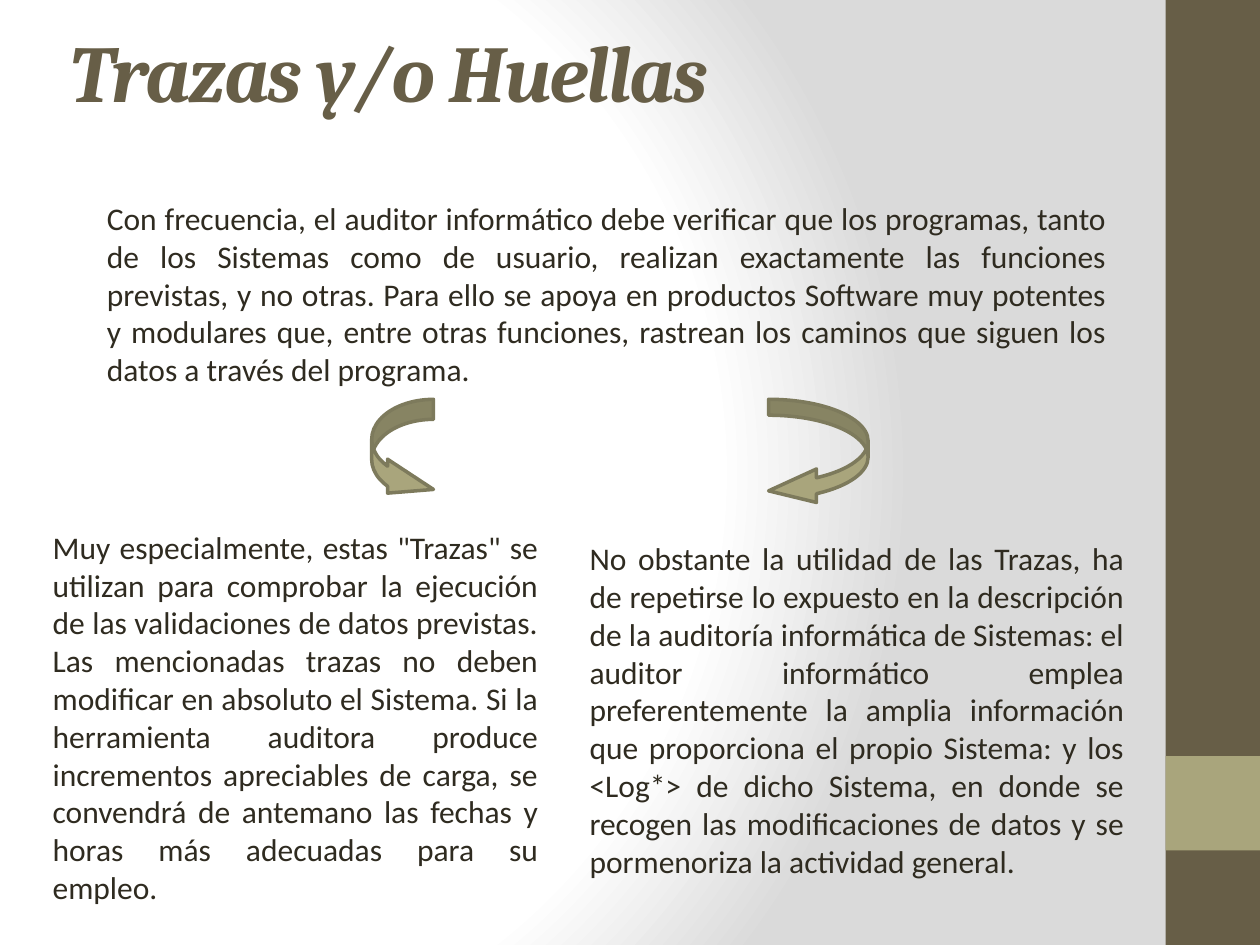
from dataclasses import dataclass

from lxml import etree
from pptx import Presentation
from pptx.dml.color import RGBColor
from pptx.enum.shapes import MSO_SHAPE
from pptx.enum.text import MSO_ANCHOR, PP_ALIGN
from pptx.oxml import parse_xml
from pptx.oxml.ns import qn
from pptx.slide import Slide
from pptx.util import Pt

RECTANGLE = MSO_SHAPE.RECTANGLE
CURVED_RIGHT = MSO_SHAPE.CURVED_RIGHT_ARROW
CURVED_LEFT = MSO_SHAPE.CURVED_LEFT_ARROW
CENTER, JUSTIFY = PP_ALIGN.CENTER, PP_ALIGN.JUSTIFY
TOP, MIDDLE = MSO_ANCHOR.TOP, MSO_ANCHOR.MIDDLE

COLORS = {
    "brown": "675E47",
    "olive": "A9A57C",
    "outline": "7D7A5C",
    "body": "2F2B20",
    "white": "FFFFFF",
    "gray": "DADADA",
}
TITLE_FONT = {"name": "Cambria", "size": Pt(46), "bold": True, "italic": True}
BODY_FONT = {"name": "Calibri", "size": Pt(18)}
BACKGROUND_STOPS = ((0, "white"), (75, "white"), (100, "gray"))


@dataclass
class Box:
    left: float
    top: float
    width: float
    height: float

    def lengths(self) -> tuple:
        return Pt(self.left), Pt(self.top), Pt(self.width), Pt(self.height)


@dataclass
class Figure:
    box: Box
    preset: int
    fill: str
    outline: str = ""
    adjustments: tuple = ()


@dataclass
class Passage:
    box: Box
    text: str
    font: dict
    color: str
    align: int = JUSTIFY
    anchor: int = TOP
    tracking: float = 0


FIGURES = [
    # Side band and its accent
    Figure(Box(666, 0, 54, 540), RECTANGLE, "brown"),
    Figure(Box(666, 432, 54, 54), RECTANGLE, "olive"),
    # Arrows from the introduction to the two columns
    Figure(Box(212.4, 228.2, 35.3, 61.2), CURVED_RIGHT, "olive", "outline",
           (0.324, 0.55, 0.743)),
    Figure(Box(439.2, 228.2, 56.9, 61.9), CURVED_LEFT, "olive", "outline",
           (0.16, 0.336, 0.481)),
]

PASSAGES = [
    # Title
    Passage(Box(25.2, 17.3, 393.8, 45.4), "Trazas y/o Huellas",
            TITLE_FONT, "brown", CENTER, MIDDLE, -1),
    # Introduction
    Passage(Box(54, 110.2, 585.4, 116.6),
            "Con frecuencia, el auditor informático debe verificar que los "
            "programas, tanto de los Sistemas como de usuario, realizan "
            "exactamente las funciones previstas, y no otras. Para ello se "
            "apoya en productos Software muy potentes y modulares que, entre "
            "otras funciones, rastrean los caminos que siguen los datos a "
            "través del programa.", BODY_FONT, "body"),
    # Left column
    Passage(Box(23, 298.1, 291.6, 225.4),
            'Muy especialmente, estas "Trazas" se utilizan para comprobar la '
            "ejecución de las validaciones de datos previstas. Las "
            "mencionadas trazas no deben modificar en absoluto el Sistema. "
            "Si la herramienta auditora produce incrementos apreciables de "
            "carga, se convendrá de antemano las fechas y horas más "
            "adecuadas para su empleo.", BODY_FONT, "body"),
    # Right column
    Passage(Box(329.8, 304.6, 319.7, 203.8),
            "No obstante la utilidad de las Trazas, ha de repetirse lo "
            "expuesto en la descripción de la auditoría informática de "
            "Sistemas: el auditor informático emplea preferentemente la "
            "amplia información que proporciona el propio Sistema: y los "
            "<Log*> de dicho Sistema, en donde se recogen las modificaciones "
            "de datos y se pormenoriza la actividad general.",
            BODY_FONT, "body"),
]


def rgb(name: str) -> RGBColor:
    return RGBColor.from_string(COLORS[name])


def paint_background(slide: Slide) -> None:
    """Radial gradient, white in the centre and gray towards the right."""
    slide.background.fill.gradient()
    gradient = slide.element.find(".//" + qn("a:gradFill"))
    for child in list(gradient):
        gradient.remove(child)
    stops = etree.SubElement(gradient, qn("a:gsLst"))
    for percent, color in BACKGROUND_STOPS:
        stop = etree.SubElement(stops, qn("a:gs"), pos=str(percent * 1000))
        etree.SubElement(stop, qn("a:srgbClr"), val=COLORS[color])
    gradient.append(parse_xml(
        '<a:path xmlns:a="http://schemas.openxmlformats.org/drawingml/2006/main"'
        ' path="circle"><a:fillToRect l="20000" t="50000" r="100000" b="50000"/>'
        "</a:path>"))


def draw_figure(slide: Slide, figure: Figure) -> None:
    shape = slide.shapes.add_shape(figure.preset, *figure.box.lengths())
    shape.shadow.inherit = False
    shape.fill.solid()
    shape.fill.fore_color.rgb = rgb(figure.fill)
    for index, value in enumerate(figure.adjustments):
        shape.adjustments[index] = value
    if figure.outline:
        shape.line.color.rgb = rgb(figure.outline)
        shape.line.width = Pt(2)
    else:
        shape.line.fill.background()


def write_passage(slide: Slide, passage: Passage) -> None:
    frame = slide.shapes.add_textbox(*passage.box.lengths()).text_frame
    frame.word_wrap = True
    frame.vertical_anchor = passage.anchor
    paragraph = frame.paragraphs[0]
    paragraph.alignment = passage.align
    run = paragraph.add_run()
    run.text = passage.text
    for attribute, value in passage.font.items():
        setattr(run.font, attribute, value)
    run.font.color.rgb = rgb(passage.color)
    if passage.tracking:
        run.font._element.set("spc", str(round(passage.tracking * 100)))


def main() -> None:
    deck = Presentation()
    deck.slide_width, deck.slide_height = Pt(720), Pt(540)
    slide = deck.slides.add_slide(deck.slide_layouts[6])
    paint_background(slide)
    for figure in FIGURES:
        draw_figure(slide, figure)
    for passage in PASSAGES:
        write_passage(slide, passage)
    deck.save("out.pptx")


if __name__ == "__main__":
    main()
